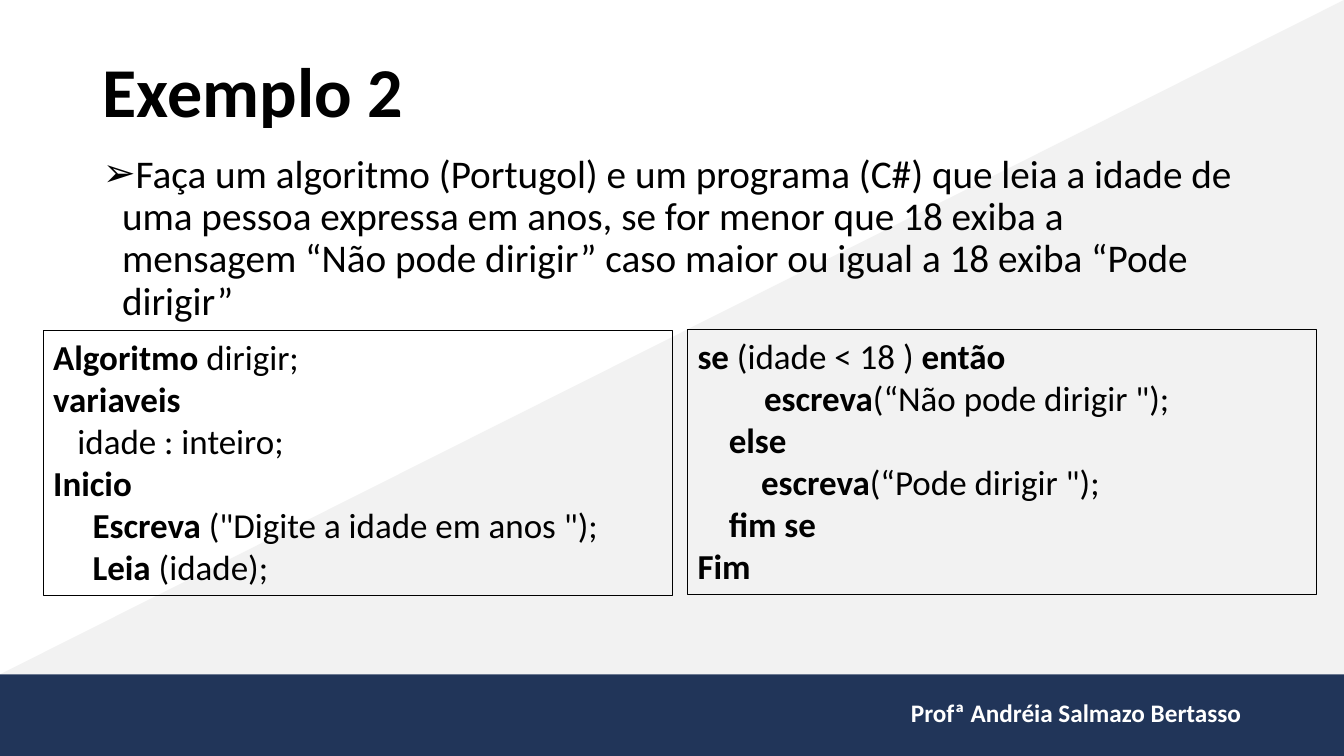
import pptx
import pptx.dml.color
import pptx.enum.shapes
import pptx.enum.text
import pptx.util
import lxml.etree

Inches, Pt = pptx.util.Inches, pptx.util.Pt
SHAPE = pptx.enum.shapes.MSO_SHAPE
ALIGN = pptx.enum.text.PP_ALIGN
ANCHOR = pptx.enum.text.MSO_ANCHOR
AUTOSIZE = pptx.enum.text.MSO_AUTO_SIZE


def color(hex_value):
    return pptx.dml.color.RGBColor.from_string(hex_value)


def write(paragraph, text, size=25, ink="000000", bold=False, align=ALIGN.LEFT, indent=0):
    """Write one line; parts between asterisks switch the weight."""
    paragraph.alignment = align
    paragraph._p.get_or_add_pPr().set("marL", str(Inches(indent)))
    for number, part in enumerate(text.split("*")):
        if part:
            run = paragraph.add_run()
            run.text = part
            run.font.name = "Calibri"
            run.font.size = Pt(size)
            run.font.bold = bold != (number % 2 == 1)
            run.font.color.rgb = color(ink)


deck = pptx.Presentation()
deck.slide_width, deck.slide_height = Inches(13.33), Inches(7.5)
slide = deck.slides.add_slide(deck.slide_layouts[1])
shapes = slide.shapes
band_top = Inches(6.69)

# Backdrop: grey diagonal and navy footer band, behind the placeholders
backdrop = [
    (SHAPE.RIGHT_TRIANGLE, 0, band_top, "F2F2F2"),
    (SHAPE.RECTANGLE, band_top, deck.slide_height - band_top, "213559"),
]
for layer, (outline, top, height, tint) in enumerate(backdrop):
    area = shapes.add_shape(outline, 0, top, deck.slide_width, height)
    area.shadow.inherit = False
    area.fill.solid()
    area.fill.fore_color.rgb = color(tint)
    area.line.fill.background()
    if outline == SHAPE.RIGHT_TRIANGLE:
        area._element.spPr.xfrm.set("flipH", "1")
    shapes._spTree.insert(2 + layer, area._element)

# Footer credit
teacher = shapes.add_textbox(Inches(8.79), Inches(6.87), Inches(3.62), Inches(0.4))
teacher.text_frame.word_wrap = True
write(teacher.text_frame.paragraphs[0], "Profª Andréia Salmazo Bertasso",
      size=18, ink="FFFFFF", bold=True, align=ALIGN.RIGHT)

# Title and exercise statement
heading, exercise = shapes.title, slide.placeholders[1]
for holder, top, height, anchor in [(heading, 0.4, 1.08, ANCHOR.MIDDLE),
                                    (exercise, 1.48, 5.03, ANCHOR.TOP)]:
    holder.left, holder.top = Inches(0.92), Inches(top)
    holder.width, holder.height = Inches(11.5), Inches(height)
    holder.text_frame.auto_size = AUTOSIZE.NONE
    holder.text_frame.vertical_anchor = anchor
    holder.text_frame.paragraphs[0].line_spacing = 0.9

write(heading.text_frame.paragraphs[0], "Exemplo 2", size=50, bold=True)
statement = exercise.text_frame.paragraphs[0]
statement.space_before = Pt(7.5)
write(statement, "Faça um algoritmo (Portugol) e um programa (C#) que leia a idade de "
      "uma pessoa expressa em anos, se for menor que 18 exiba a mensagem "
      "“Não pode dirigir” caso maior ou igual a 18 exiba “Pode dirigir”",
      size=28, indent=0.19)
bullet_format = statement._p.get_or_add_pPr()
bullet_format.set("indent", str(Inches(-0.19)))
bullet = lxml.etree.SubElement(bullet_format, pptx.oxml.ns.qn("a:buChar"))
bullet.set("char", "➢")

# Pseudocode in two boxes: (indent in inches, line)
code_boxes = [
    (0.43, 3.28, [
        (0, "*Algoritmo* dirigir;"),
        (0, "*variaveis*"),
        (0.24, "idade : inteiro;"),
        (0, "*Inicio*"),
        (0.39, '*Escreva* ("Digite a idade em anos ");'),
        (0.39, "*Leia* (idade);"),
    ]),
    (6.82, 3.27, [
        (0, "*se* (idade < 18 ) *então*"),
        (0.66, '*escreva*(“Não pode dirigir ");'),
        (0.31, "*else*"),
        (0.63, '*escreva*(“Pode dirigir ");'),
        (0.31, "*fim se*"),
        (0, "*Fim*"),
    ]),
]
for left, top, code in code_boxes:
    box = shapes.add_shape(SHAPE.RECTANGLE, Inches(left), Inches(top), Inches(6.24), Inches(2.63))
    box.shadow.inherit = False
    box.fill.background()
    box.line.color.rgb = color("000000")
    box.line.width = Pt(0.75)
    frame = box.text_frame
    frame.word_wrap = True
    frame.vertical_anchor = ANCHOR.TOP
    for row, (indent, line) in enumerate(code):
        write(frame.add_paragraph() if row else frame.paragraphs[0], line, indent=indent)

deck.save("out.pptx")
